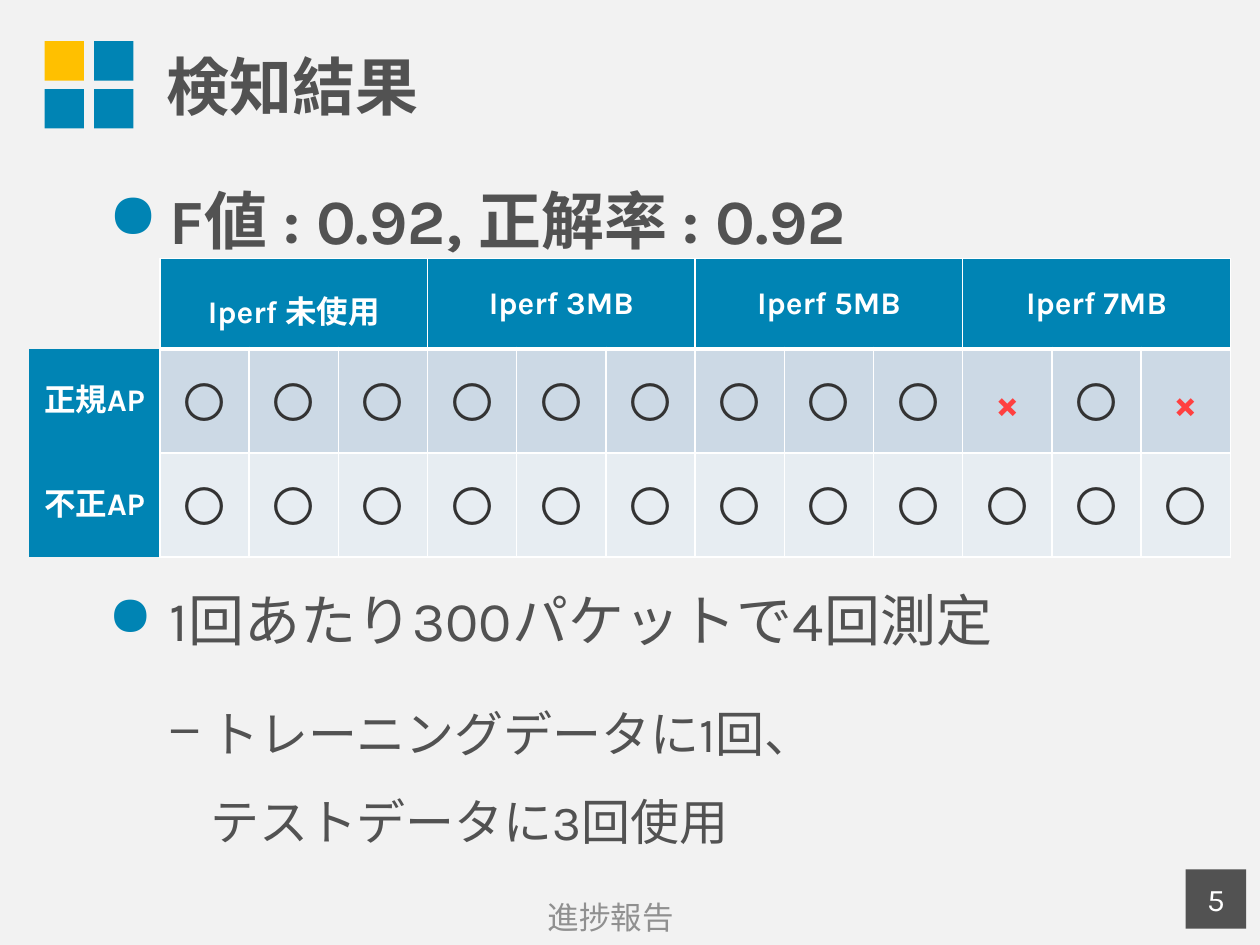
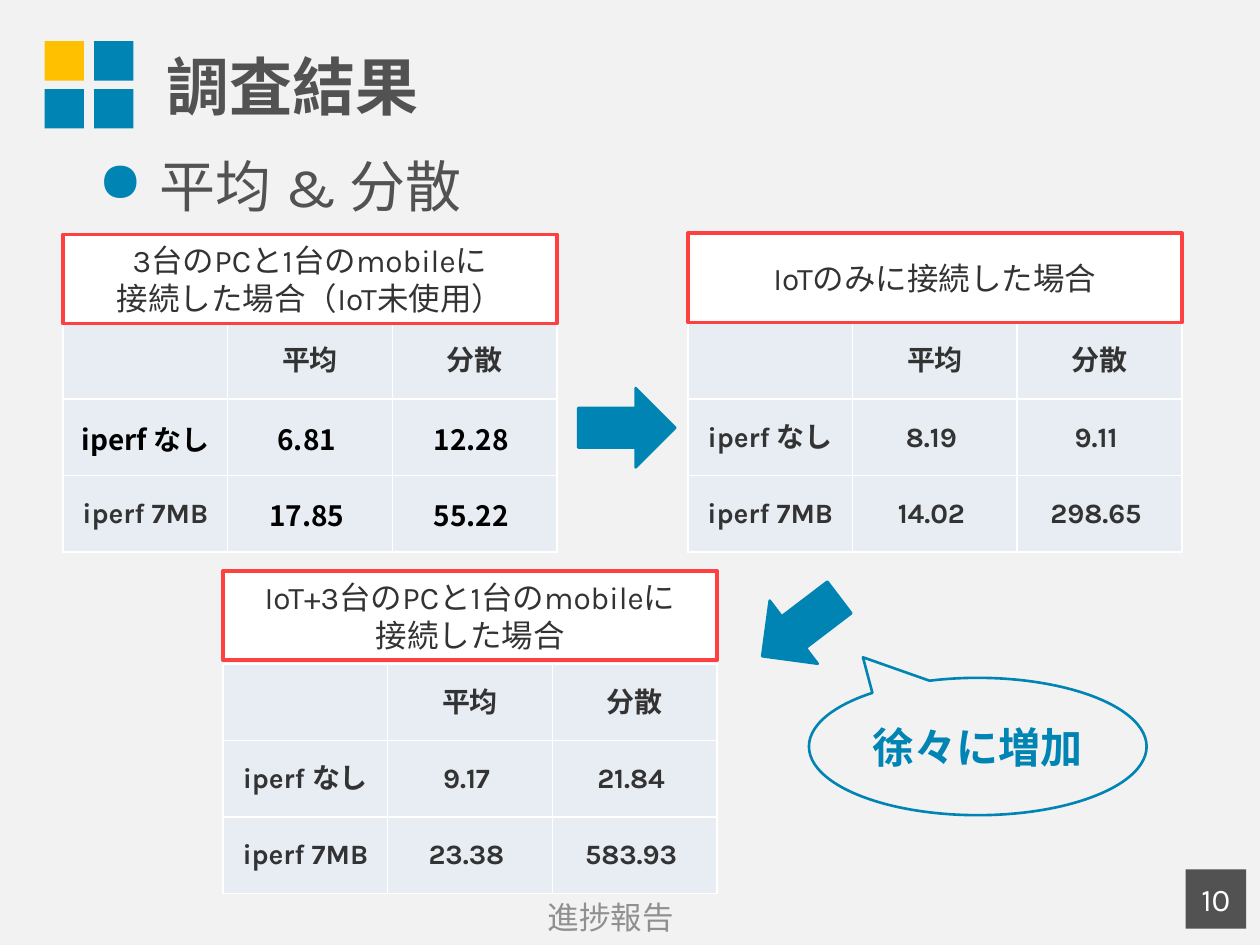
from dataclasses import dataclass
from typing import NamedTuple

from lxml.etree import SubElement
from pptx import Presentation
from pptx.dml.color import RGBColor
from pptx.enum.shapes import MSO_SHAPE as SHAPE
from pptx.enum.text import MSO_ANCHOR as ANCHOR, PP_ALIGN as ALIGN
from pptx.oxml.ns import qn
from pptx.util import Emu, Inches, Pt

# Palette and fonts
BLUE = RGBColor(0x00, 0x84, 0xB4)
YELLOW = RGBColor(0xFF, 0xC0, 0x00)
RED = RGBColor(0xFF, 0x40, 0x40)
WHITE = RGBColor(0xFF, 0xFF, 0xFF)
BLACK = RGBColor(0x00, 0x00, 0x00)
PAPER = RGBColor(0xF2, 0xF2, 0xF2)
SLATE = RGBColor(0x52, 0x52, 0x52)
INK = RGBColor(0x33, 0x33, 0x33)
GREY = RGBColor(0x90, 0x90, 0x90)
BAND_DARK = RGBColor(0xCC, 0xD9, 0xE5)
BAND_LIGHT = RGBColor(0xE7, 0xED, 0xF2)
MAIN_FONT, ALT_FONT = "Karla", "Noto Sans CJK JP"
NO_STYLE = "{2D5ABB26-0587-4C30-8999-92F81FD0307C}"

# Grid: 100 columns by 75 rows over the slide
SLIDE_W, SLIDE_H = Inches(10), Inches(7.5)
COLS, ROWS = 100, 75


def col(n: float) -> Emu:
    return Emu(round(SLIDE_W * n / COLS))


def row(n: float) -> Emu:
    return Emu(round(SLIDE_H * n / ROWS))


class Box(NamedTuple):
    left: float
    top: float
    width: float
    height: float

    def emu(self) -> tuple:
        return col(self.left), row(self.top), col(self.width), row(self.height)


class Style(NamedTuple):
    size: float
    color: RGBColor = SLATE
    bold: bool = False
    font: str = MAIN_FONT


@dataclass
class Bullet:
    text: str
    style: Style
    mark: str = "●"
    mark_color: RGBColor = BLUE
    margin: float = 4.9
    hang: float = 4.9
    before: float = 12
    spacing: float = 1.0


@dataclass
class Panel:
    left: float
    caption_top: float
    table_top: float
    caption: str
    values: tuple
    alt_cells: tuple = ()


# Text
def add_run(p, text: str, style: Style) -> None:
    for i, line in enumerate(text.split("\n")):
        if i:
            p.add_line_break()
        r = p.add_run()
        r.text = line
        f = r.font
        f.size, f.bold, f.name = Pt(style.size), style.bold, style.font
        f.color.rgb = style.color
        SubElement(r._r.get_or_add_rPr(), qn("a:ea"), typeface=style.font)


def write(tf, text: str, style: Style, align=ALIGN.CENTER) -> None:
    tf.word_wrap = True
    tf.vertical_anchor = ANCHOR.MIDDLE
    p = tf.paragraphs[0]
    p.alignment = align
    add_run(p, text, style)


def add_text(slide, box: Box, text: str, style: Style, align=ALIGN.CENTER) -> None:
    write(slide.shapes.add_textbox(*box.emu()).text_frame, text, style, align)


def add_bullets(slide, box: Box, bullets: list) -> None:
    tf = slide.shapes.add_textbox(*box.emu()).text_frame
    tf.word_wrap = True
    for i, b in enumerate(bullets):
        p = tf.add_paragraph() if i else tf.paragraphs[0]
        p.line_spacing = b.spacing
        p.space_before = Pt(b.before)
        pPr = p._p.get_or_add_pPr()
        pPr.set("marL", str(col(b.margin)))
        pPr.set("indent", str(-col(b.hang)))
        clr = SubElement(pPr, qn("a:buClr"))
        SubElement(clr, qn("a:srgbClr"), val=str(b.mark_color))
        SubElement(pPr, qn("a:buChar"), char=b.mark)
        add_run(p, b.text, b.style)


# Shapes
def add_shape(slide, kind, box: Box, fill: RGBColor, line=None, width: float = 1.5):
    sp = slide.shapes.add_shape(kind, *box.emu())
    sp.shadow.inherit = False
    sp.fill.solid()
    sp.fill.fore_color.rgb = fill
    if line is None:
        sp.line.fill.background()
    else:
        sp.line.color.rgb = line
        sp.line.width = Pt(width)
    return sp


# Tables
def add_table(slide, left: float, top: float, widths: list, heights: list):
    box = Box(left, top, sum(widths), sum(heights))
    tbl = slide.shapes.add_table(len(heights), len(widths), *box.emu()).table
    tbl.first_row = tbl.horz_banding = False
    tbl._tbl.tblPr.find(qn("a:tableStyleId")).text = NO_STYLE
    for c, w in zip(tbl.columns, widths):
        c.width = col(w)
    for r, h in zip(tbl.rows, heights):
        r.height = row(h)
    return tbl


def paint(cell, fill: RGBColor) -> None:
    cell.fill.solid()
    cell.fill.fore_color.rgb = fill


def add_borders(cell, top: float = 1, bottom: float = 1) -> None:
    tcPr = cell._tc.get_or_add_tcPr()
    edges = {"L": 1, "R": 1, "T": top, "B": bottom}
    for i, (edge, width) in enumerate(edges.items()):
        ln = SubElement(tcPr, qn(f"a:ln{edge}"), w=str(Pt(width)))
        SubElement(SubElement(ln, qn("a:solidFill")), qn("a:srgbClr"), val=str(WHITE))
        tcPr.insert(i, ln)


def fill_cell(cell, text: str, style: Style, spacing=None, anchor=ANCHOR.MIDDLE) -> None:
    write(cell.text_frame, text, style)
    cell.vertical_anchor = anchor
    if spacing:
        cell.text_frame.paragraphs[0].line_spacing = spacing


# Shared slide frame: background, logo-free squares, title, footer, page number
def add_frame(prs, title: str, page: int):
    slide = prs.slides.add_slide(prs.slide_layouts[6])
    slide.background.fill.solid()
    slide.background.fill.fore_color.rgb = PAPER
    for i in range(4):
        r, c = divmod(i, 2)
        square = Box(3.54 + 3.93 * c, 3.27 + 3.8 * r, 3.13, 3.13)
        add_shape(slide, SHAPE.RECTANGLE, square, BLUE if i else YELLOW)
    add_text(slide, Box(12.2, 0.5, 87.8, 12.5), title, Style(36, bold=True), ALIGN.LEFT)
    add_text(slide, Box(3.5, 70.8, 89.9, 4), "進捗報告", Style(18, GREY))
    badge = add_shape(slide, SHAPE.RECTANGLE, Box(94.1, 69, 4.8, 4.7), SLATE)
    write(badge.text_frame, str(page), Style(18, WHITE))
    return slide


# Detection results
def add_detection_table(slide) -> None:
    groups = ["Iperf 未使用", "Iperf 3MB", "Iperf 5MB", "Iperf 7MB"]
    trials = 3
    results = [("正規AP", BAND_DARK, "〇〇〇〇〇〇〇〇〇×〇×"),
               ("不正AP", BAND_LIGHT, "〇" * 12)]
    label = Style(18, WHITE, True)
    tbl = add_table(slide, 2.3, 20.5, [10.4] + [7.08] * 12, [7.2, 8.25, 8.25])
    tbl.cell(0, 0).fill.background()

    for g, name in enumerate(groups):
        first = 1 + g * trials
        head = tbl.cell(0, first)
        head.merge(tbl.cell(0, first + trials - 1))
        for c in range(first, first + trials):
            paint(tbl.cell(0, c), BLUE)
            add_borders(tbl.cell(0, c), bottom=3)
        fill_cell(head, name, label, spacing=None if g else 1.5)

    for r, (name, band, marks) in enumerate(results, 1):
        paint(tbl.cell(r, 0), BLUE)
        fill_cell(tbl.cell(r, 0), name, label)
        for c, mark in enumerate(marks, 1):
            cell = tbl.cell(r, c)
            paint(cell, band)
            add_borders(cell, top=3 if r == 1 else 1)
            style = Style(24, RED, True) if mark == "×" else Style(24, INK)
            fill_cell(cell, mark, style, 1.5, ANCHOR.TOP)


def build_detection(prs) -> None:
    slide = add_frame(prs, "検知結果", 5)
    add_bullets(slide, Box(7.6, 13.9, 91.5, 57), [
        Bullet("F値 : 0.92, 正解率 : 0.92", Style(36, bold=True)),
        Bullet("1回あたり300パケットで4回測定", Style(32), before=188),
        Bullet("トレーニングデータに1回、\nテストデータに3回使用", Style(28),
               "–", SLATE, 8.1, 3.1, spacing=1.5),
    ])
    add_detection_table(slide)


# Survey results
PANELS = [
    Panel(5, 18.6, 25.6, "3台のPCと1台のmobileに\n接続した場合（IoT未使用）",
          ((6.81, 12.28), (17.85, 55.22)),
          ((1, 0), (1, 1), (1, 2), (2, 1), (2, 2))),
    Panel(54.6, 18.5, 25.6, "IoTのみに接続した場合", ((8.19, 9.11), (14.02, 298.65))),
    Panel(17.7, 45.3, 52.7, "IoT+3台のPCと1台のmobileに\n接続した場合",
          ((9.17, 21.84), (23.38, 583.93))),
]


def add_panel(slide, panel: Panel) -> None:
    names = ("iperf なし", "iperf 7MB")
    grid = [("", "平均", "分散")]
    grid += [(n, *(f"{v:.2f} " for v in vs)) for n, vs in zip(names, panel.values)]
    tbl = add_table(slide, panel.left, panel.table_top, [13.07] * 3, [6.07] * 3)
    for r, texts in enumerate(grid):
        for c, text in enumerate(texts):
            cell = tbl.cell(r, c)
            paint(cell, BAND_LIGHT)
            add_borders(cell)
            cell.margin_left = cell.margin_right = cell.margin_top = col(0.1)
            cell.margin_bottom = 0
            alt = (r, c) in panel.alt_cells
            style = Style(16, BLACK, True, ALT_FONT) if alt else Style(16, INK, True)
            if text:
                fill_cell(cell, text, style)
    box = Box(panel.left, panel.caption_top, 39.2, 7.1)
    caption = add_shape(slide, SHAPE.RECTANGLE, box, WHITE, RED, 2)
    caption.text_frame.margin_left = caption.text_frame.margin_right = col(0.3)
    write(caption.text_frame, panel.caption, Style(18, INK))


def build_survey(prs) -> None:
    slide = add_frame(prs, "調査結果", 10)
    add_bullets(slide, Box(6.8, 11.5, 91.5, 52), [Bullet("平均 & 分散", Style(32))])
    for panel in PANELS:
        add_panel(slide, panel)
    for left, top, angle in ((45.9, 30.8, 0), (59.7, 46.6, 142.7)):
        arrow = add_shape(slide, SHAPE.RIGHT_ARROW, Box(left, top, 7.7, 6.3), BLUE, BLUE)
        arrow.rotation = angle
    balloon = add_shape(slide, SHAPE.OVAL_CALLOUT, Box(64.2, 53.8, 26.8, 10.9), PAPER, BLUE)
    balloon.adjustments[0], balloon.adjustments[1] = -0.34, -0.65
    write(balloon.text_frame, "徐々に増加", Style(24, BLUE, True))


def main() -> None:
    prs = Presentation()
    prs.slide_width, prs.slide_height = SLIDE_W, SLIDE_H
    build_detection(prs)
    build_survey(prs)
    prs.save("out.pptx")


if __name__ == "__main__":
    main()
